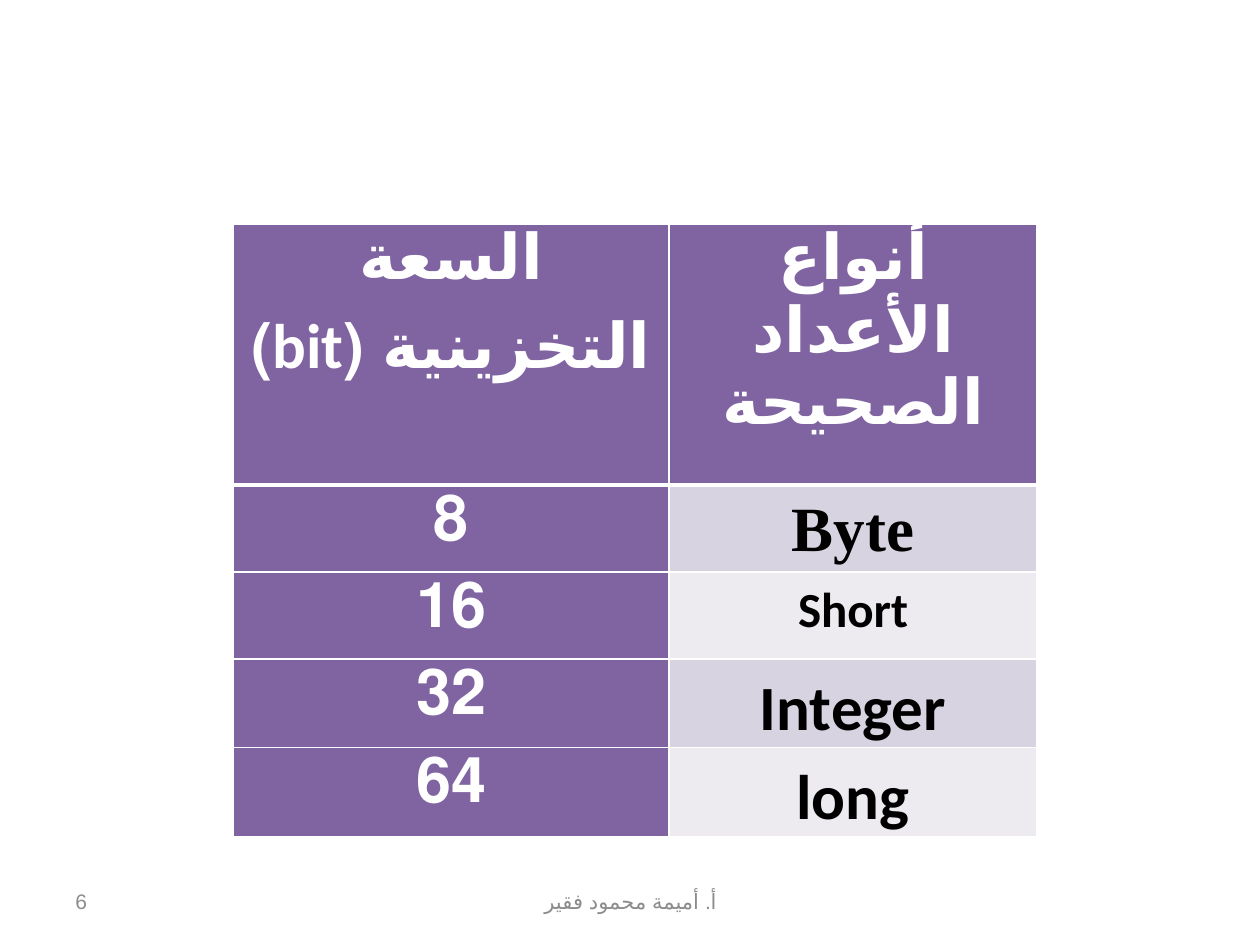
from lxml.etree import SubElement
from pptx import Presentation
from pptx.dml.color import RGBColor
from pptx.enum.lang import MSO_LANGUAGE_ID as Language
from pptx.enum.text import MSO_ANCHOR as Anchor, PP_ALIGN as Align
from pptx.oxml.ns import qn
from pptx.util import Inches, Pt

COLORS = {
    "purple": "8064A2",
    "band_dark": "D8D3E0",
    "band_light": "EDEAF0",
    "white": "FFFFFF",
    "black": "000000",
    "gray": "8C8C8C",
}
HEADERS = ["السعة التخزينية (bit)", "أنواع الأعداد الصحيحة"]
TYPES = [
    ("8", "Byte", "Times New Roman", 36),
    ("16", "Short", "Calibri", 28),
    ("32", "Integer", "Calibri", 36),
    ("64", "long", "Calibri", 36),
]
COLUMN_WIDTHS = [3.46, 2.92]
ROW_HEIGHTS = [2.07, 0.69, 0.69, 0.69, 0.69]


def color(name):
    return RGBColor.from_string(COLORS[name])


def write_rtl(frame, text, size, color_name, align, name="Calibri", bold=False, arabic_font="Arial"):
    paragraph = frame.paragraphs[0]
    paragraph.text = text
    paragraph.alignment = align
    font = paragraph.font
    font.size, font.bold, font.name = Pt(size), bold, name
    font.color.rgb = color(color_name)
    properties = paragraph._p.get_or_add_pPr()
    properties.set("rtl", "1")
    SubElement(properties.find(qn("a:defRPr")), qn("a:cs"), typeface=arabic_font)
    paragraph.runs[0].font.language_id = Language.ARABIC
    return paragraph


def set_border(cell, side, width):
    line = SubElement(cell._tc.get_or_add_tcPr(), qn(f"a:ln{side}"), w=str(Pt(width)))
    fill = SubElement(line, qn("a:solidFill"))
    SubElement(fill, qn("a:srgbClr"), val=COLORS["white"])


def fill_cell(table, row, column, text, fill, text_color="white", name="Calibri", size=36):
    cell = table.cell(row, column)
    cell.margin_left = cell.margin_right = Inches(0.07)
    cell.margin_top = cell.margin_bottom = 0
    widths = {"L": 1, "R": 1, "T": 3 if row == 1 else 1, "B": 3 if row == 0 else 1}
    for side, width in widths.items():
        set_border(cell, side, width)
    cell.fill.solid()
    cell.fill.fore_color.rgb = color(fill)
    paragraph = write_rtl(
        cell.text_frame, text, size, text_color, Align.CENTER, name, True, "Helvetica")
    paragraph.line_spacing = 1.15


def add_types_table(slide):
    frame = slide.shapes.add_table(
        len(ROW_HEIGHTS), len(COLUMN_WIDTHS), Inches(1.85), Inches(1.78),
        Inches(sum(COLUMN_WIDTHS)), Inches(sum(ROW_HEIGHTS)))
    table = frame.table
    table.first_row = table.horz_banding = False
    for column, width in zip(table.columns, COLUMN_WIDTHS):
        column.width = Inches(width)
    for row, height in zip(table.rows, ROW_HEIGHTS):
        row.height = Inches(height)
    for column, header in enumerate(HEADERS):
        fill_cell(table, 0, column, header, "purple")
    for row, (bits, type_name, font_name, size) in enumerate(TYPES, start=1):
        band = "band_dark" if row % 2 else "band_light"
        fill_cell(table, row, 0, bits, "purple")
        fill_cell(table, row, 1, type_name, band, "black", font_name, size)


def add_footer_text(slide, left, width, text, align):
    box = slide.shapes.add_textbox(Inches(left), Inches(6.95), Inches(width), Inches(0.4))
    frame = box.text_frame
    frame.word_wrap = True
    frame.vertical_anchor = Anchor.MIDDLE
    write_rtl(frame, text, 12, "gray", align)


def main():
    presentation = Presentation()
    presentation.slide_width, presentation.slide_height = Inches(10), Inches(7.5)
    slide = presentation.slides.add_slide(presentation.slide_layouts[6])
    add_types_table(slide)
    add_footer_text(slide, 3.42, 3.17, "أ. أميمة محمود فقير", Align.CENTER)
    add_footer_text(slide, 0.5, 2.33, "6", Align.LEFT)
    presentation.save("out.pptx")


if __name__ == "__main__":
    main()
